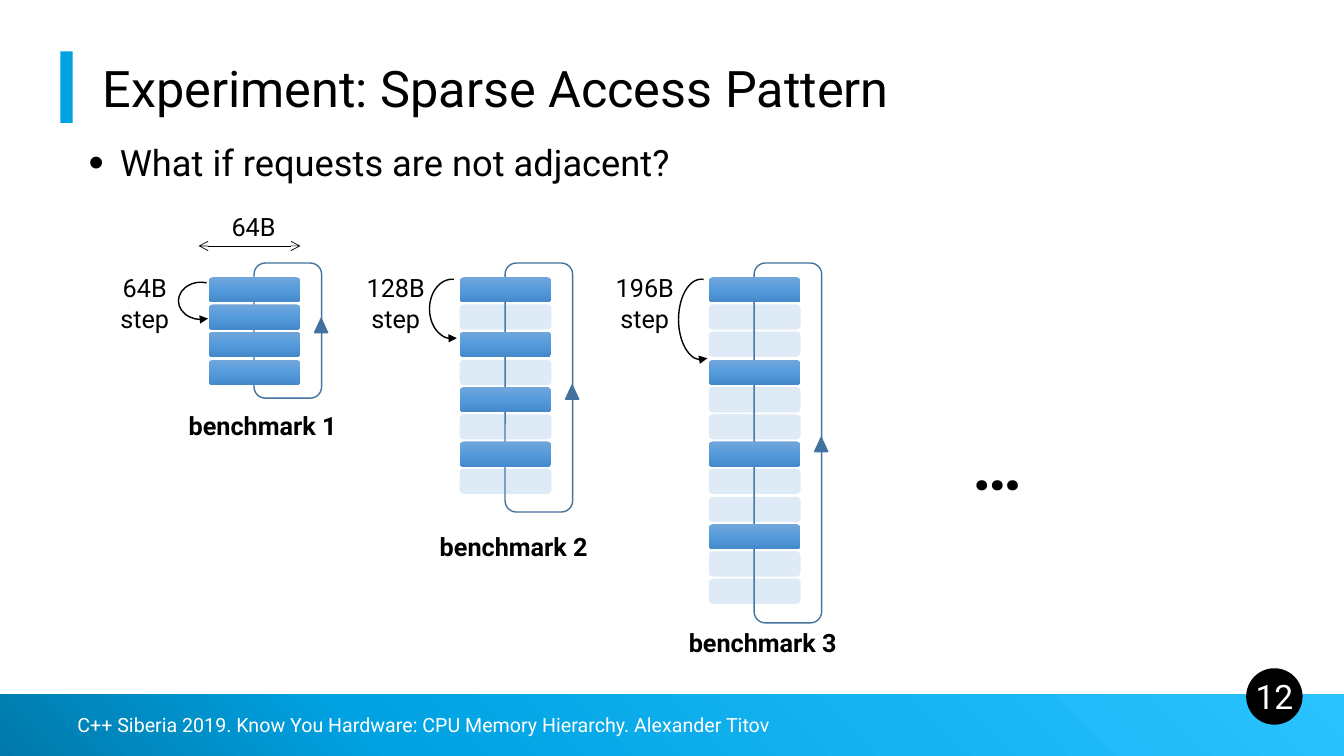
from dataclasses import dataclass

from lxml import etree
from pptx import Presentation
from pptx.dml.color import RGBColor
from pptx.enum.shapes import MSO_CONNECTOR, MSO_SHAPE
from pptx.enum.text import MSO_ANCHOR, MSO_AUTO_SIZE, PP_ALIGN
from pptx.oxml.ns import qn
from pptx.util import Pt

RECTANGLE = MSO_SHAPE.RECTANGLE
ROUNDED = MSO_SHAPE.ROUNDED_RECTANGLE
ELLIPSE = MSO_SHAPE.OVAL
TRIANGLE = MSO_SHAPE.ISOSCELES_TRIANGLE
ARC = MSO_SHAPE.ARC
STRAIGHT = MSO_CONNECTOR.STRAIGHT
TOP, MIDDLE, BOTTOM = MSO_ANCHOR.TOP, MSO_ANCHOR.MIDDLE, MSO_ANCHOR.BOTTOM
LEFT, CENTER = PP_ALIGN.LEFT, PP_ALIGN.CENTER
FIT_TEXT = MSO_AUTO_SIZE.SHAPE_TO_FIT_TEXT

EMU_PER_PX = 9144  # 100 px to the inch
BLOCK_LEFT_TO_LOOP = 45
BLOCK_TOP = 275
BLOCK_WIDTH, BLOCK_HEIGHT = 91, 25
BLOCK_PITCH = 27.2
LOOP_TOP, LOOP_WIDTH = 261, 67


@dataclass(frozen=True)
class Theme:
    font: str = "Roboto"
    black: str = "000000"
    white: str = "FFFFFF"
    accent: str = "00A2E2"
    loop: str = "43739E"
    arrow: str = "41719C"
    idle_block: str = "5B9BD5"
    used_block: tuple = ((0, "71A6DB"), (50, "559BDB"), (100, "448ACA"))
    footer_band: tuple = ((0, "0079AA"), (28, "00A2E2"), (100, "2AC3FF"))
    title_size: float = 36
    body_size: float = 25.9
    label_size: float = 18
    footer_size: float = 14
    number_size: float = 24
    ellipsis_size: float = 48


@dataclass(frozen=True)
class Benchmark:
    name: str
    step: str
    left: int
    blocks: int
    stride: int
    loop_height: int
    arrow_top: int
    name_top: int
    arc_top: int
    arc_height: int
    arc_angles: tuple


THEME = Theme()
BENCHMARKS = (
    Benchmark("benchmark 1", "64B", 207, 4, 1, 134, 316, 402, 280, 37, (151.74, 66.71)),
    Benchmark("benchmark 2", "128B", 456, 8, 2, 247, 382, 522, 277, 59, (159.99, 59.4)),
    Benchmark("benchmark 3", "196B", 703, 12, 3, 357, 434, 617, 277, 80, (159.99, 59.4)),
)


def px(*lengths):
    return [round(length * EMU_PER_PX) for length in lengths]


def add_xml(parent, tag, **attributes):
    return etree.SubElement(parent, qn(tag), {k: str(v) for k, v in attributes.items()})


def fill_gradient(shape, stops, angle):
    """Fill with any number of (percent, colour) stops, angle clockwise."""
    shape.fill.gradient()
    gradient = shape._element.spPr.find(qn("a:gradFill"))
    for child in list(gradient):
        gradient.remove(child)
    stop_list = add_xml(gradient, "a:gsLst")
    for percent, colour in stops:
        stop = add_xml(stop_list, "a:gs", pos=percent * 1000)
        add_xml(stop, "a:srgbClr", val=colour)
    add_xml(gradient, "a:lin", ang=angle * 60000, scaled=0)


def add_box(shapes, kind, at, fill=None, line=None, opacity=100):
    box = shapes.add_shape(kind, *px(*at))
    box.shadow.inherit = False
    if fill:
        box.fill.solid()
        box.fill.fore_color.rgb = RGBColor.from_string(fill)
    else:
        box.fill.background()
    if opacity < 100:
        colour = box._element.spPr.find(qn("a:solidFill")).find(qn("a:srgbClr"))
        add_xml(colour, "a:alpha", val=opacity * 1000)
    if line:
        box.line.color.rgb = RGBColor.from_string(line)
        box.line.width = Pt(1)
    else:
        box.line.fill.background()
    return box


def add_text(shapes, at, text, size, colour=THEME.black, bold=False,
             align=CENTER, anchor=MIDDLE, wrap=False):
    """Add a text box and return its first paragraph."""
    box = shapes.add_textbox(*px(*at))
    frame = box.text_frame
    frame.word_wrap = wrap
    frame.vertical_anchor = anchor
    if not wrap:
        frame.auto_size = FIT_TEXT
    frame.text = text
    for para in frame.paragraphs:
        para.alignment = align
        for span in para.runs:
            span.font.name = THEME.font
            span.font.size = Pt(size)
            span.font.bold = bold
            span.font.color.rgb = RGBColor.from_string(colour)
    return frame.paragraphs[0]


def add_bullet(para, indent):
    properties = para._p.get_or_add_pPr()
    properties.set("marL", str(px(indent)[0]))
    properties.set("indent", str(px(-indent)[0]))
    add_xml(properties, "a:buSzPct", val=120000)
    add_xml(properties, "a:buFont", typeface="Arial")
    add_xml(properties, "a:buChar", char="•")


def add_width_arrow(shapes, start, end, y):
    arrow = shapes.add_connector(STRAIGHT, *px(start, y, end, y))
    arrow.line.color.rgb = RGBColor.from_string(THEME.black)
    arrow.line.width = Pt(0.5)
    add_xml(arrow.line._get_or_add_ln(), "a:headEnd", type="arrow")
    add_xml(arrow.line._get_or_add_ln(), "a:tailEnd", type="arrow")
    add_xml(arrow._element.spPr, "a:effectLst")


def add_step_arc(shapes, at, angles):
    arc = add_box(shapes, ARC, at, line=THEME.black)
    arc.adjustments[0], arc.adjustments[1] = angles
    arc._element.spPr.find(qn("a:xfrm")).set("flipH", "1")
    add_xml(arc.line._get_or_add_ln(), "a:tailEnd", type="triangle")


def add_benchmark(page, bench):
    shapes = page.shapes.add_group_shape().shapes
    loop_left = bench.left + BLOCK_LEFT_TO_LOOP
    add_box(shapes, ROUNDED, (loop_left, LOOP_TOP, LOOP_WIDTH, bench.loop_height),
            THEME.white, THEME.loop)
    add_box(shapes, TRIANGLE, (loop_left + LOOP_WIDTH - 7, bench.arrow_top, 13, 14),
            THEME.arrow, THEME.loop)
    for index in range(bench.blocks):
        at = (bench.left, BLOCK_TOP + round(index * BLOCK_PITCH), BLOCK_WIDTH, BLOCK_HEIGHT)
        if index % bench.stride == 0:
            fill_gradient(add_box(shapes, ROUNDED, at), THEME.used_block, 90)
        else:
            add_box(shapes, ROUNDED, at, THEME.idle_block, opacity=20)
    add_text(shapes, (bench.left - 31, bench.name_top, 169, 40), bench.name,
             THEME.label_size, bold=True)
    add_step_arc(shapes, (bench.left - 30, bench.arc_top, 45, bench.arc_height),
                 bench.arc_angles)
    add_text(shapes, (bench.left - 103, 265, 79, 71), f"{bench.step}\nstep", THEME.label_size)


def add_frame(page):
    """Add the footer band, title marker, page number and footer text."""
    shapes = page.shapes
    fill_gradient(add_box(shapes, RECTANGLE, (0, 689, 1333, 61)), THEME.footer_band, 315)
    add_box(shapes, RECTANGLE, (60, 51, 12, 71), THEME.accent)
    add_box(shapes, ELLIPSE, (1236, 663, 56, 56), THEME.black)
    add_text(shapes, (67, 695, 1100, 48),
             "C++ Siberia 2019. Know You Hardware: CPU Memory Hierarchy. Alexander Titov",
             THEME.footer_size, THEME.white, align=LEFT, wrap=True)
    add_text(shapes, (1228, 663, 72, 56), "12", THEME.number_size, THEME.white, wrap=True)


def main():
    deck = Presentation()
    deck.slide_width, deck.slide_height = px(1333, 750)
    page = deck.slides.add_slide(deck.slide_layouts[6])
    add_frame(page)
    title = add_text(page.shapes, (92, 0, 1150, 122), "Experiment: Sparse Access Pattern",
                     THEME.title_size, align=LEFT, anchor=BOTTOM, wrap=True)
    title.line_spacing = 0.9
    question = add_text(page.shapes, (78, 143, 1195, 48), "What if requests are not adjacent?",
                        THEME.body_size, align=LEFT, anchor=TOP, wrap=True)
    add_bullet(question, 31)
    question.line_spacing = 0.8
    for bench in BENCHMARKS:
        add_benchmark(page, bench)
    add_width_arrow(page.shapes, 197, 298, 244)
    add_text(page.shapes, (219, 205, 65, 40), "64B", THEME.label_size)
    add_text(page.shapes, (954, 414, 70, 91), "…", THEME.ellipsis_size, bold=True)
    deck.save("out.pptx")


if __name__ == "__main__":
    main()
